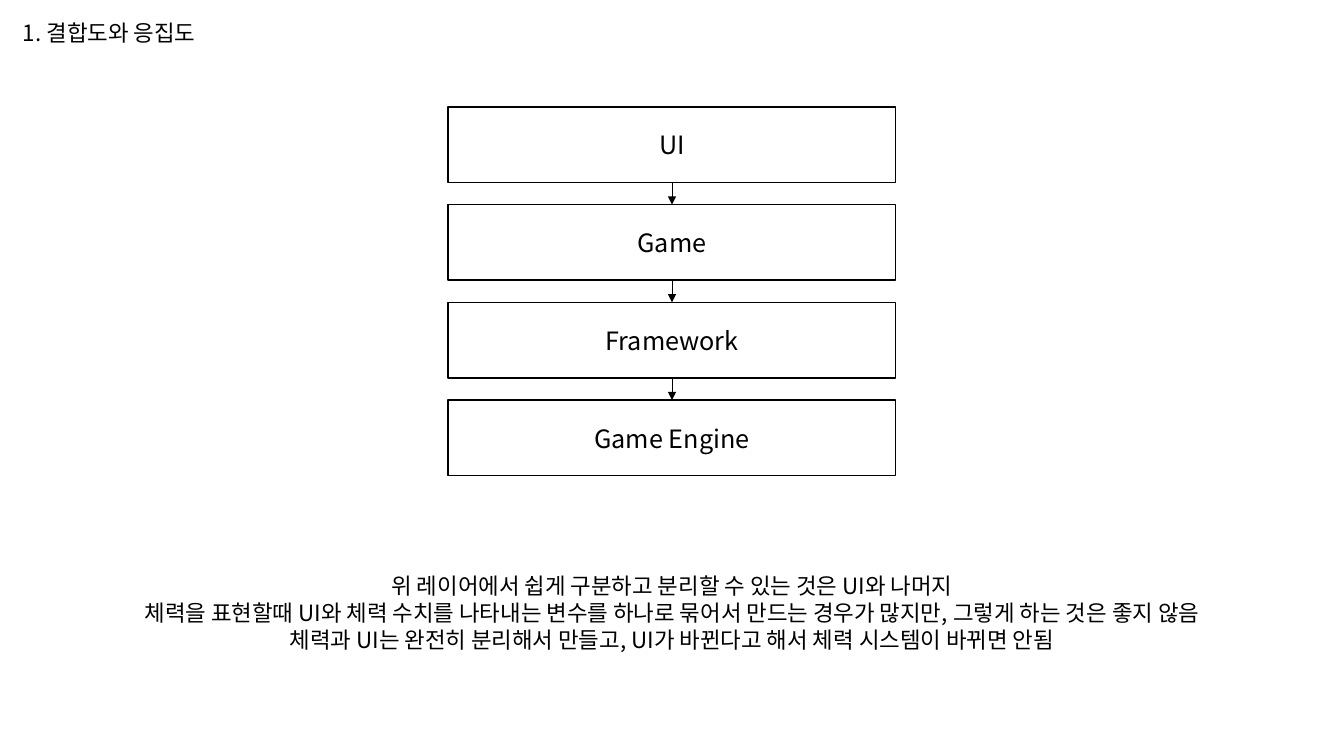
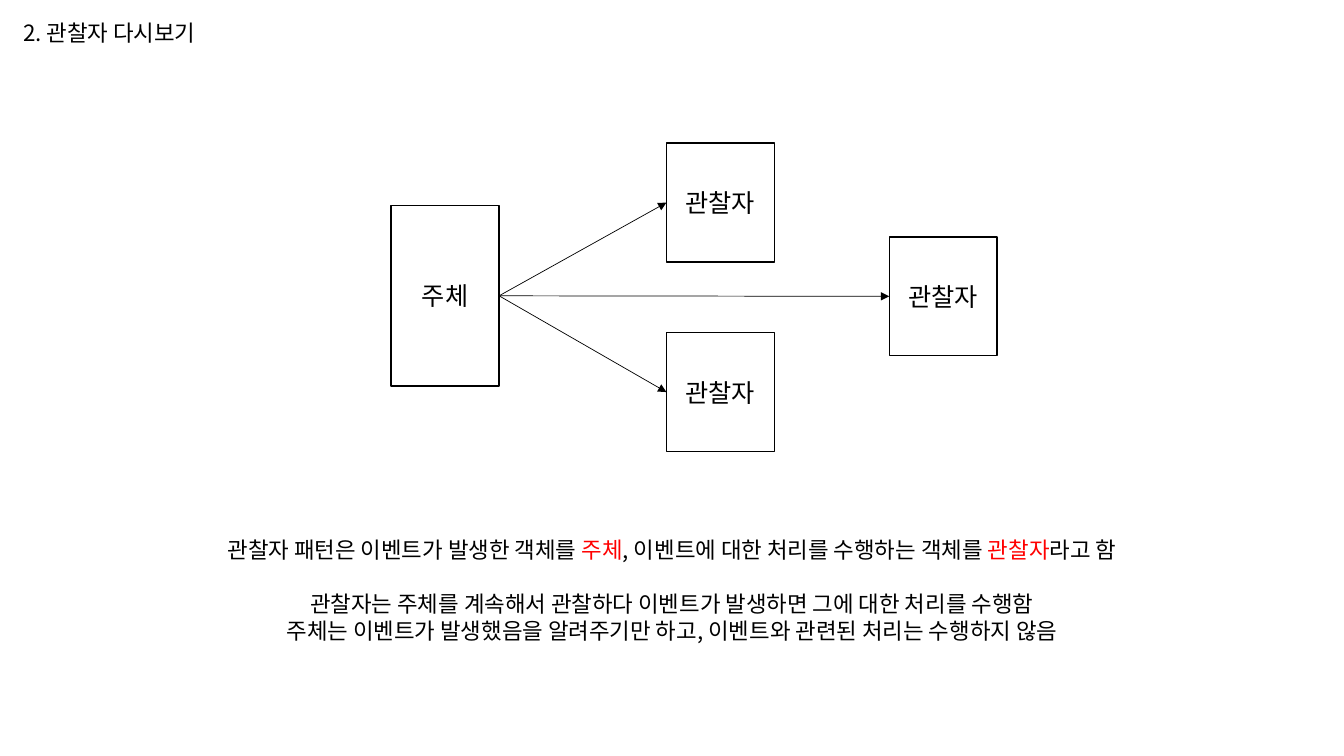
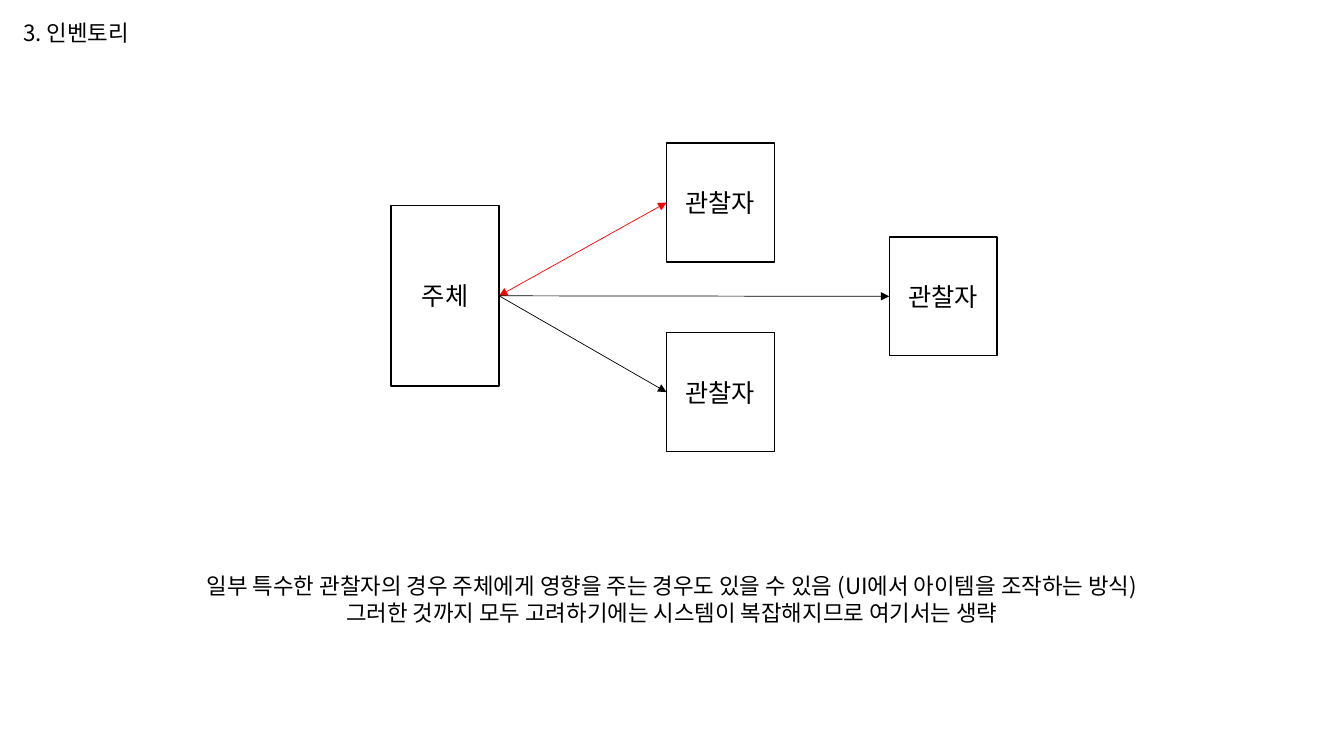
from lxml import etree
from pptx import Presentation
from pptx.dml.color import RGBColor
from pptx.enum.shapes import MSO_CONNECTOR as Conn, MSO_SHAPE as Shape
from pptx.enum.text import MSO_ANCHOR as Anchor, MSO_AUTO_SIZE as Auto, PP_ALIGN as Align
from pptx.oxml.ns import qn
from pptx.util import Inches, Pt

WIDE, HIGH = 13.33, 7.5
MID = WIDE / 2
TOP, LEFT, RIGHT, BOTTOM = 0, 1, 3, 2


def color(hex_str):
    return RGBColor.from_string(hex_str)


class Deck:
    font, ink, paper, red = "Noto Sans CJK KR", "000000", "FFFFFF", "FF0000"
    small, large, lead = 16, 18, 19.3

    def __init__(self):
        self.prs = Presentation()
        self.prs.slide_width, self.prs.slide_height = Inches(WIDE), Inches(HIGH)

    def page(self, title, width):
        self.slide = self.prs.slides.add_slide(self.prs.slide_layouts[6])
        self.text([title], 0.13, 0.14, width, Align.LEFT)

    def style(self, run, size, hue):
        run.font.size, run.font.name = Pt(size), self.font
        run.font.color.rgb = color(hue)
        east = etree.SubElement(run.font._element, qn("a:ea"))
        east.set("typeface", self.font)

    def text(self, lines, x, y, width, align):
        """Write one paragraph per line; parts between bars are red."""
        high = 0.1 + len(lines) * self.lead / 72
        box = self.slide.shapes.add_textbox(
            Inches(x), Inches(y), Inches(width), Inches(high))
        frame = box.text_frame
        frame.word_wrap, frame.auto_size = True, Auto.SHAPE_TO_FIT_TEXT
        for i, line in enumerate(lines):
            para = frame.add_paragraph() if i else frame.paragraphs[0]
            para.alignment, para.line_spacing = align, Pt(self.lead)
            for j, part in enumerate(line.split("|")):
                run = para.add_run()
                run.text = part
                self.style(run, self.small, self.red if j % 2 else self.ink)
        return frame

    def note(self, lines, y, width):
        return self.text(lines, MID - width / 2, y, width, Align.CENTER)

    def box(self, label, x, y, width, height):
        box = self.slide.shapes.add_shape(
            Shape.RECTANGLE, Inches(x), Inches(y), Inches(width), Inches(height))
        box.shadow.inherit = False
        box.fill.solid()
        box.fill.fore_color.rgb = color(self.paper)
        box.line.color.rgb, box.line.width = color(self.ink), Pt(1)
        frame = box.text_frame
        frame.text, frame.vertical_anchor = label, Anchor.MIDDLE
        para = frame.paragraphs[0]
        para.alignment = Align.CENTER
        self.style(para.runs[0], self.large, self.ink)
        return box

    def arrow(self, start, out, end, into, both=False):
        """Join two boxes; a two-way arrow is red."""
        line = self.slide.shapes.add_connector(Conn.STRAIGHT, 0, 0, 0, 0)
        line.begin_connect(start, out)
        line.end_connect(end, into)
        line.line.width = Pt(0.5)
        line.line.color.rgb = color(self.red if both else self.ink)
        stroke = line.line._get_or_add_ln()
        for tip in ("a:headEnd", "a:tailEnd")[0 if both else 1:]:
            etree.SubElement(stroke, qn(tip)).set("type", "triangle")
        etree.SubElement(line._element.spPr, qn("a:effectLst"))

    def pattern(self, echo=False):
        """Draw a subject with its observers; echo makes the first arrow two-way."""
        wide, high = 1.07, 1.18
        subject = self.box("주체", 3.88, 2.04, wide, 1.79)
        for i, (x, y) in enumerate([(6.61, 1.42), (8.82, 2.35), (6.61, 3.3)]):
            watcher = self.box("관찰자", x, y, wide, high)
            self.arrow(subject, RIGHT, watcher, LEFT, echo and i == 0)


def main():
    deck = Deck()

    deck.page("1. 결합도와 응집도", 2.1)
    wide, high, step = 4.44, 0.75, 0.97
    above = None
    for i, name in enumerate(["UI", "Game", "Framework", "Game Engine"]):
        layer = deck.box(name, MID - wide / 2, 1.06 + i * step, wide, high)
        if above:
            deck.arrow(above, BOTTOM, layer, TOP)
        above = layer
    deck.note([
        "위 레이어에서 쉽게 구분하고 분리할 수 있는 것은 UI와 나머지",
        "체력을 표현할때 UI와 체력 수치를 나타내는 변수를 하나로 묶어서 만드는 경우가 많지만, 그렇게 하는 것은 좋지 않음",
        "체력과 UI는 완전히 분리해서 만들고, UI가 바뀐다고 해서 체력 시스템이 바뀌면 안됨",
    ], 5.62, 10.71)

    deck.page("2. 관찰자 다시보기", 1.92)
    deck.pattern()
    notes = deck.note([
        "관찰자 패턴은 이벤트가 발생한 객체를 |주체|, 이벤트에 대한 처리를 수행하는 객체를 |관찰자|라고 함",
        "관찰자는 주체를 계속해서 관찰하다 이벤트가 발생하면 그에 대한 처리를 수행함",
        "주체는 이벤트가 발생했음을 알려주기만 하고, 이벤트와 관련된 처리는 수행하지 않음",
    ], 5.27, 9.06)
    notes.paragraphs[1].space_before = Pt(deck.lead)

    deck.page("3. 인벤토리", 1.25)
    deck.pattern(echo=True)
    deck.note([
        "일부 특수한 관찰자의 경우 주체에게 영향을 주는 경우도 있을 수 있음 (UI에서 아이템을 조작하는 방식)",
        "그러한 것까지 모두 고려하기에는 시스템이 복잡해지므로 여기서는 생략",
    ], 5.63, 9.46)

    deck.prs.save("out.pptx")


if __name__ == "__main__":
    main()
